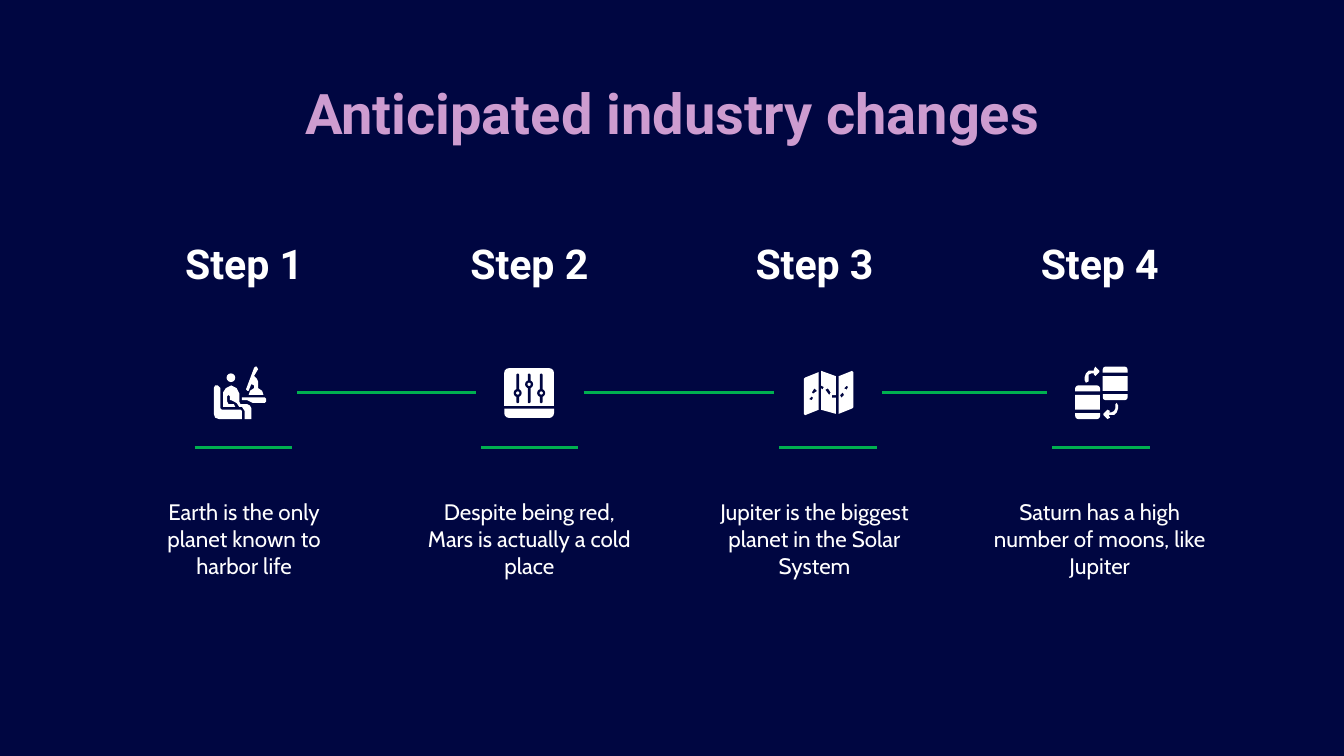
import pptx
import pptx.dml.color
import pptx.enum.shapes
import pptx.enum.text
import pptx.oxml.ns
import pptx.util
from lxml import etree

Cm = pptx.util.Cm
Pt = pptx.util.Pt
MSO_SHAPE = pptx.enum.shapes.MSO_SHAPE
ANCHOR = pptx.enum.text.MSO_ANCHOR

NAVY = pptx.dml.color.RGBColor(0x00, 0x06, 0x41)
PINK = pptx.dml.color.RGBColor(0xCD, 0x9C, 0xD0)
GREEN = pptx.dml.color.RGBColor(0x00, 0xB0, 0x50)
WHITE = pptx.dml.color.RGBColor(0xFF, 0xFF, 0xFF)

# Icons are drawn on a fine grid, a hundredth of an inch per unit
UNIT = Cm(2.54) / 100


def add_part(icon, origin, kind, box, color=WHITE, radius=None, rotation=0):
    """Add a preset shape to an icon, with its box in grid units."""
    left, top, width, height = [round(value * UNIT) for value in box]
    shape = icon.shapes.add_shape(
        kind, origin[0] + left, origin[1] + top, width, height)
    if radius is not None:
        shape.adjustments[0] = radius
    shape.rotation = rotation
    shape.shadow.inherit = False
    shape.fill.solid()
    shape.fill.fore_color.rgb = color
    shape.line.fill.background()


def add_outline(icon, origin, *contours):
    """Add a white outline to an icon; contours after the first are holes."""
    builder = icon.shapes.build_freeform(*contours[0][0], scale=UNIT)
    builder.add_line_segments(contours[0][1:])
    for hole in contours[1:]:
        builder.move_to(*hole[0])
        builder.add_line_segments(hole[1:])
    shape = builder.convert_to_shape(*origin)
    shape.shadow.inherit = False
    shape.fill.solid()
    shape.fill.fore_color.rgb = WHITE
    shape.line.fill.background()


presentation = pptx.Presentation()
presentation.slide_width = Cm(25.4)
presentation.slide_height = Cm(14.29)
slide = presentation.slides.add_slide(presentation.slide_layouts[6])
slide.background.fill.solid()
slide.background.fill.fore_color.rgb = NAVY

# Title, step headings and descriptions
descriptions = [
    "Earth is the only planet known to harbor life",
    "Despite being red, Mars is actually a cold place",
    "Jupiter is the biggest planet in the Solar System",
    "Saturn has a high number of moons, like Jupiter",
]
texts = [("Anticipated industry changes", (2.01, 1.24, 21.4, 1.6),
          "Roboto", 30, PINK, ANCHOR.TOP)]
for index, description in enumerate(descriptions):
    left = 2.34 + 5.39 * index
    texts.append((f"Step {index + 1}", (left, 4.37, 4.55, 1.32),
                  "Roboto", 22, WHITE, ANCHOR.BOTTOM))
    texts.append((description, (left, 9.17, 4.55, 2.26),
                  "Cabin", 12, WHITE, ANCHOR.TOP))

for text, box, font_name, size, color, anchor in texts:
    shape = slide.shapes.add_textbox(*[Cm(value) for value in box])
    frame = shape.text_frame
    frame.word_wrap = True
    frame.vertical_anchor = anchor
    frame.margin_left = frame.margin_right = Cm(0.25)
    frame.margin_top = frame.margin_bottom = Cm(0.25)
    paragraph = frame.paragraphs[0]
    paragraph.text = text
    paragraph.alignment = pptx.enum.text.PP_ALIGN.CENTER
    paragraph.font.name = font_name
    paragraph.font.size = Pt(size)
    paragraph.font.bold = font_name == "Roboto"
    paragraph.font.color.rgb = color

# Underlines below the icons, and the links between neighbouring steps
underline_lefts = [3.68, 9.09, 14.73, 19.89]
underline_width = 1.84
lines = [(left, left + underline_width, 8.46) for left in underline_lefts]
for left, next_left in zip(underline_lefts, underline_lefts[1:]):
    lines.append((left + underline_width + 0.1, next_left - 0.1, 7.42))

for start, end, height in lines:
    connector = slide.shapes.add_connector(
        pptx.enum.shapes.MSO_CONNECTOR.STRAIGHT,
        Cm(start), Cm(height), Cm(end), Cm(height))
    connector.line.color.rgb = GREEN
    connector.line.width = Pt(1.5)
    properties = connector._element.spPr
    etree.SubElement(properties, pptx.oxml.ns.qn("a:effectLst"))

# Icon 1: person at a desk
desk = slide.shapes.add_group_shape()
origin = (Cm(4.04), Cm(6.93))
lamp = [(31, 0), (30, 1), (24, 17), (25, 18), (26, 18), (28, 13), (30, 14),
        (30, 16), (27, 18), (26, 21), (37, 21), (36, 18), (33, 16), (33, 11),
        (32, 9), (30, 7), (33, 2), (32, 0)]
chair = [(0, 16), (1, 14.5), (3, 14), (5, 16), (5, 31), (6, 32), (20, 32),
         (21, 33), (21, 39), (4, 39), (1, 38), (0, 35)]
body = [(13, 14), (9, 16), (7, 19), (7, 30), (16, 30), (15, 28), (11, 28),
        (10, 26), (10, 22), (11, 21), (12, 22), (12, 25), (13, 25), (17, 27),
        (19, 30), (21, 30.5), (23, 33), (23, 39), (28, 39), (28, 31),
        (27, 29), (25, 28), (20, 28), (19, 26), (19, 20), (17, 16)]
table_top = [(21, 23), (21, 25), (25, 25), (29, 27), (38, 27), (39, 26),
             (39, 24), (38, 23)]
for outline in (lamp, chair, body, table_top):
    add_outline(desk, origin, outline)
add_part(desk, origin, MSO_SHAPE.OVAL, (9.5, 5, 6.5, 6.5))

# Icon 2: mixing panel with three sliders
mixer = slide.shapes.add_group_shape()
origin = (Cm(9.53), Cm(6.96))
cap = MSO_SHAPE.ROUND_2_SAME_RECTANGLE
add_part(mixer, origin, cap, (0, 0, 37, 28), radius=0.12)
add_part(mixer, origin, cap, (0, 30, 37, 7), radius=0.5, rotation=180)
for center, knob in ((10, 18.5), (18.5, 12), (27.5, 18.5)):
    add_part(mixer, origin, MSO_SHAPE.ROUNDED_RECTANGLE,
             (center - 1, 4, 2, 22), NAVY, 0.5)
    add_part(mixer, origin, MSO_SHAPE.OVAL,
             (center - 3, knob - 3, 6, 6), NAVY)
    add_part(mixer, origin, MSO_SHAPE.OVAL,
             (center - 1.2, knob - 1.2, 2.4, 2.4))

# Icon 3: folded map with a dashed route
folded_map = slide.shapes.add_group_shape()
origin = (Cm(15.19), Cm(7.01))
add_outline(folded_map, origin,
            [(11, 1), (1, 5), (0, 6), (0, 32), (1, 33), (11, 29)],
            [(8, 13), (9.5, 15), (7, 17), (6, 15.5)],
            [(5.5, 19), (7, 20), (5.5, 22), (4, 21)])
add_outline(folded_map, origin,
            [(13, 0), (13, 11), (15, 12), (14, 13.5), (13, 13), (13, 29),
             (24, 32), (24, 20), (21, 19.5), (21, 18), (24, 18), (24, 4)],
            [(18, 13), (20, 16), (19, 17.5), (16.5, 14.5)])
add_outline(folded_map, origin,
            [(36, 0), (26, 4), (26, 32), (36, 28), (37, 27), (37, 1)],
            [(32, 11), (33, 12.5), (31.5, 14.5), (30, 13)],
            [(29, 16), (30.5, 17.5), (28, 20), (27, 18)])

# Icon 4: two barrels swapping places
barrels = slide.shapes.add_group_shape()
origin = (Cm(20.32), Cm(6.93))
for left, top in ((0, 14), (20.5, 0)):
    add_part(barrels, origin, cap, (left, top, 18.5, 4.5), radius=0.5)
    add_part(barrels, origin, MSO_SHAPE.RECTANGLE, (left, top + 7, 18.5, 11))
    add_part(barrels, origin, cap, (left, top + 20.5, 18.5, 4.5),
             radius=0.5, rotation=180)
arrow = [(8, 12), (7, 10), (7, 8), (8, 5), (10, 3), (14, 3), (13.5, 1.5),
         (15, 0), (18, 3), (18, 4), (15, 7), (13.5, 6), (14, 5), (12, 5),
         (10, 6), (9.5, 8), (9.5, 11)]
add_outline(barrels, origin, arrow)
add_outline(barrels, origin, [(39 - x, 39 - y) for x, y in arrow])

presentation.save("out.pptx")
